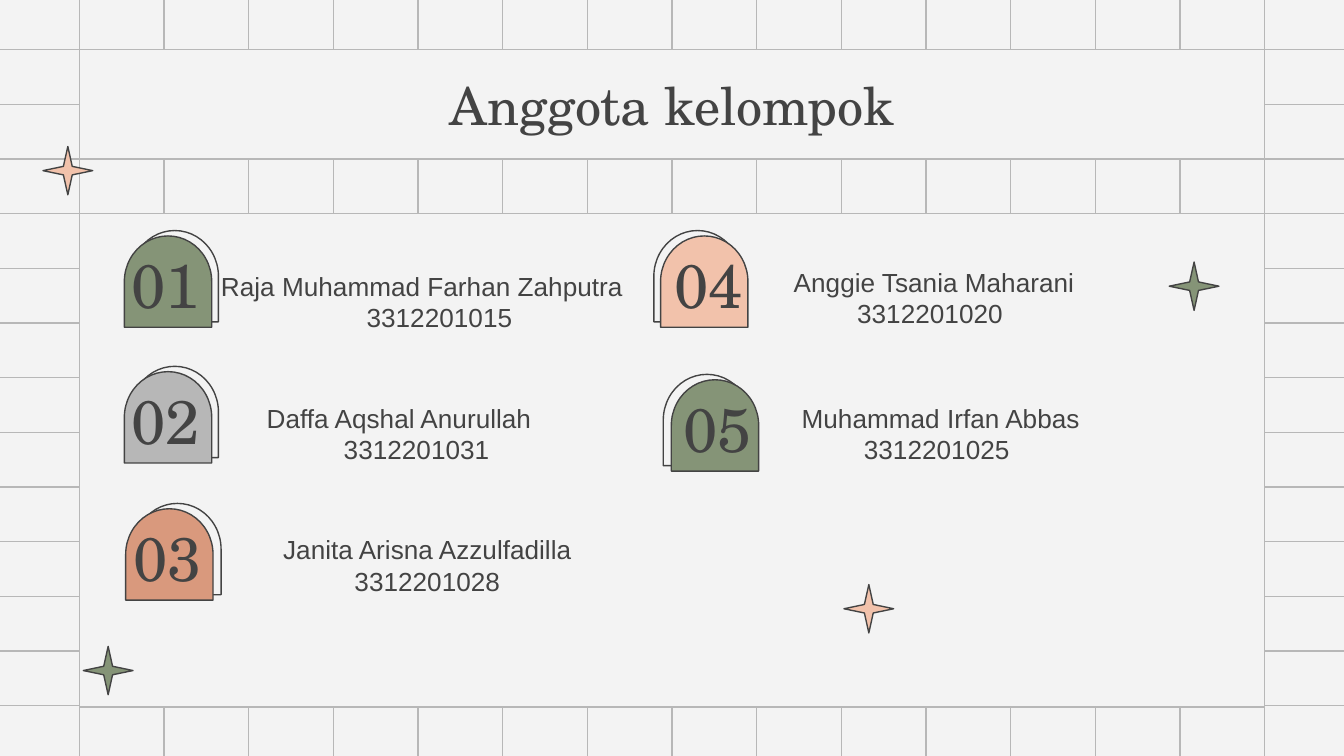
from dataclasses import dataclass
from itertools import pairwise

from lxml import etree
from pptx import Presentation
from pptx.dml.color import RGBColor
from pptx.enum import shapes, text
from pptx.oxml import ns
from pptx.util import Inches, Pt

PAPER = RGBColor(0xF3, 0xF3, 0xF3)
INK = RGBColor(0x43, 0x43, 0x43)
GRAY = RGBColor(0xB7, 0xB7, 0xB7)
GREEN = RGBColor(0x85, 0x94, 0x77)
PEACH = RGBColor(0xF2, 0xC2, 0xAB)
CLAY = RGBColor(0xD9, 0x99, 0x7D)
SERIF = "TeX Gyre Schola"
SANS = "Arial"


@dataclass(frozen=True)
class Line:
    words: str
    shift: float = 0


@dataclass(frozen=True)
class Badge:
    number: str
    left: float
    top: float
    color: RGBColor
    back_shift: float
    number_shift: float


@dataclass(frozen=True)
class Member:
    badge: Badge
    left: float
    top: float
    name: Line
    student_id: Line


@dataclass(frozen=True)
class Star:
    left: float
    top: float
    color: RGBColor


MEMBERS = [
    Member(Badge("01", 0.91, 1.77, GREEN, 0.05, -0.13), 1.54, 1.91,
           Line("Raja Muhammad Farhan Zahputra", -0.03), Line("3312201015", 0.13)),
    Member(Badge("02", 0.91, 2.78, GRAY, 0.05, -0.13), 1.5, 2.89,
           Line("Daffa Aqshal Anurullah", -0.16), Line("3312201031", -0.03)),
    Member(Badge("03", 0.92, 3.8, CLAY, 0.06, -0.12), 1.55, 3.87,
           Line("Janita Arisna Azzulfadilla"), Line("3312201028")),
    Member(Badge("04", 4.9, 1.77, PEACH, -0.05, -0.08), 5.32, 1.88,
           Line("Anggie Tsania Maharani"), Line("3312201020", -0.03)),
    Member(Badge("05", 4.98, 2.84, GREEN, -0.06, -0.09), 5.37, 2.89,
           Line("Muhammad Irfan Abbas"), Line("3312201025", -0.03)),
]
STARS = [
    Star(0.62, 4.81, GREEN),
    Star(6.28, 4.35, PEACH),
    Star(8.7, 1.95, GREEN),
    Star(0.32, 1.09, PEACH),
]


def paint(shape, fill: RGBColor, line: RGBColor) -> None:
    shape.fill.solid()
    shape.fill.fore_color.rgb = fill
    shape.line.color.rgb = line
    shape.line.width = Pt(0.75)


def add_shape(parent, kind, left: float, top: float, width: float, height: float,
              fill: RGBColor, line: RGBColor):
    shape = parent.add_shape(kind, Inches(left), Inches(top), Inches(width), Inches(height))
    shape.shadow.inherit = False
    paint(shape, fill, line)
    return shape


def write(box, lines: list[Line], font: str, size: float, anchor) -> None:
    frame = box.text_frame
    frame.word_wrap = True
    frame.auto_size = text.MSO_AUTO_SIZE.NONE
    frame.vertical_anchor = anchor
    frame.margin_left = frame.margin_right = Inches(0.1)
    frame.margin_top = frame.margin_bottom = Inches(0.1)
    frame.text = "\n".join(line.words for line in lines)
    for para, line in zip(frame.paragraphs, lines):
        para.alignment = text.PP_ALIGN.CENTER
        para.font.name = font
        para.font.size = Pt(size)
        para.font.color.rgb = INK
        if line.shift:
            side = "marL" if line.shift > 0 else "marR"
            para._p.get_or_add_pPr().set(side, str(Inches(2 * abs(line.shift))))


def add_rule(parent, x1: float, y1: float, x2: float, y2: float) -> None:
    rule = parent.add_connector(shapes.MSO_CONNECTOR.STRAIGHT,
                                Inches(x1), Inches(y1), Inches(x2), Inches(y2))
    rule.line.color.rgb = GRAY
    rule.line.width = Pt(0.75)
    etree.SubElement(rule._element.spPr, ns.qn("a:effectLst"))


def add_grid(page) -> None:
    grid = page.shapes.add_group_shape().shapes
    for top, bottom in pairwise((-0.03, 2.81, 5.66)):
        for column in range(15):
            x = 0.59 + 0.63 * column
            add_rule(grid, x, top, x, bottom)
    for left, right in pairwise((-0.04, 5, 10.04)):
        for row in range(13):
            y = 0.37 + 4.88 / 12 * row
            add_rule(grid, left, y, right, y)


def add_title(page, words: str) -> None:
    title = page.shapes.title
    title.left, title.top = Inches(0.59), Inches(0.37)
    title.width, title.height = Inches(8.82), Inches(0.81)
    paint(title, PAPER, GRAY)
    write(title, [Line(words)], SERIF, 28, text.MSO_ANCHOR.MIDDLE)
    page.shapes._spTree.append(title._element)


def add_badge(page, badge: Badge) -> None:
    group = page.shapes.add_group_shape().shapes
    layers = [
        (badge.left + badge.back_shift, badge.top - 0.04, PAPER),
        (badge.left, badge.top, badge.color),
    ]
    for left, top, color in layers:
        arch = add_shape(group, shapes.MSO_SHAPE.FLOWCHART_DELAY,
                         left, top, 0.68, 0.65, color, INK)
        arch.rotation = 270
    box = group.add_textbox(Inches(badge.left + badge.number_shift), Inches(badge.top + 0.12),
                            Inches(0.9), Inches(0.45))
    write(box, [Line(badge.number)], SERIF, 33, text.MSO_ANCHOR.MIDDLE)


def add_member(page, member: Member) -> None:
    add_badge(page, member.badge)
    box = page.shapes.add_textbox(Inches(member.left), Inches(member.top),
                                  Inches(3.26), Inches(0.68))
    write(box, [member.name, member.student_id], SANS, 14, text.MSO_ANCHOR.TOP)


def add_star(page, star: Star) -> None:
    shape = add_shape(page.shapes, shapes.MSO_SHAPE.STAR_4_POINT,
                      star.left, star.top, 0.37, 0.36, star.color, INK)
    shape.adjustments[0] = 0.125


def main() -> None:
    deck = Presentation()
    deck.slide_width = Inches(10)
    deck.slide_height = deck.slide_width * 9 // 16
    page = deck.slides.add_slide(deck.slide_layouts.get_by_name("Title Only"))
    page.background.fill.solid()
    page.background.fill.fore_color.rgb = PAPER
    add_grid(page)
    add_shape(page.shapes, shapes.MSO_SHAPE.RECTANGLE, 0.59, 1.59, 8.82, 3.67, PAPER, GRAY)
    add_title(page, "Anggota kelompok")
    for member in MEMBERS:
        add_member(page, member)
    for star in STARS:
        add_star(page, star)
    deck.save("out.pptx")


if __name__ == "__main__":
    main()
